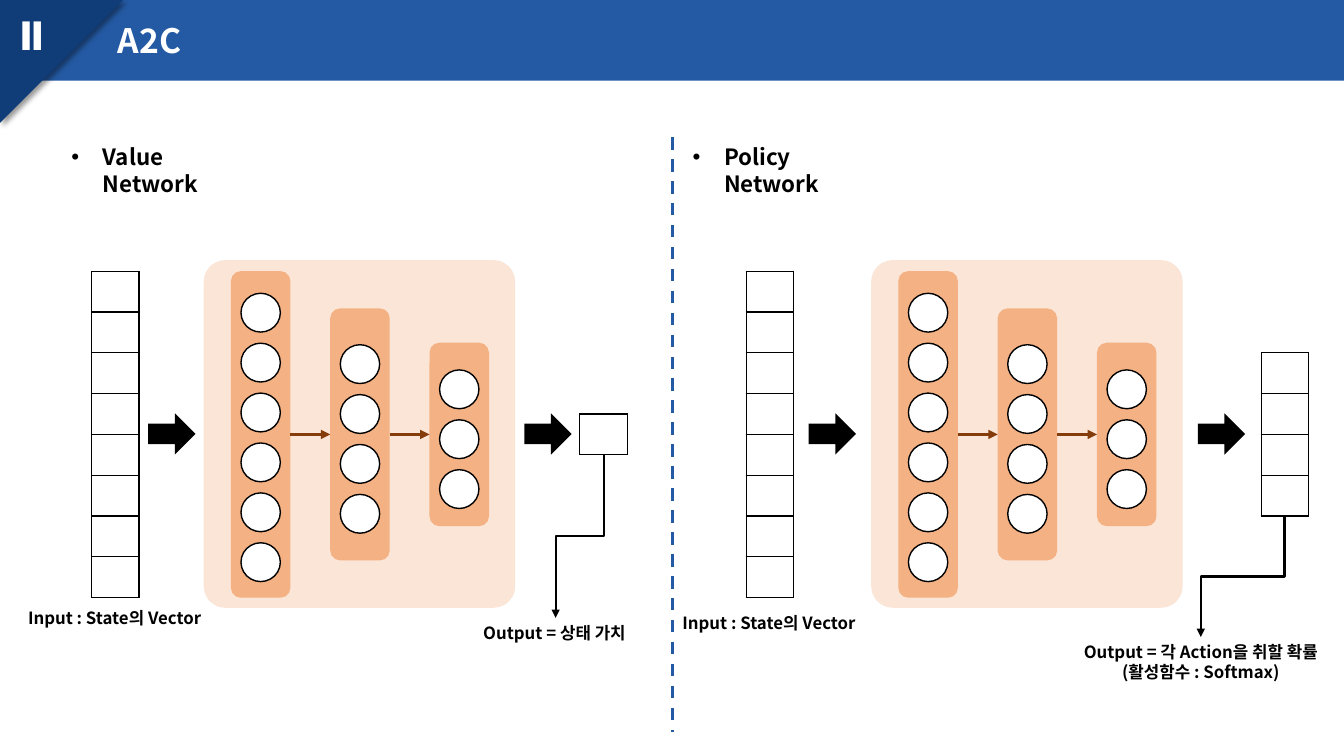
from lxml import etree
from pptx import Presentation
from pptx import util as u
from pptx.dml.color import RGBColor
from pptx.enum import dml, shapes, text
from pptx.oxml import parse_xml
from pptx.oxml.ns import nsdecls, qn

BLUE = RGBColor(0x24, 0x5A, 0xA4)
NAVY = RGBColor(0x10, 0x3D, 0x78)
PEACH = RGBColor(0xFB, 0xE5, 0xD6)
ORANGE = RGBColor(0xF4, 0xB1, 0x83)
BROWN = RGBColor(0x84, 0x3C, 0x0B)
BLACK = RGBColor(0, 0, 0)
WHITE = RGBColor(0xFF, 0xFF, 0xFF)
SANS = "Noto Sans CJK KR"
LEFT, CENTER = text.PP_ALIGN.LEFT, text.PP_ALIGN.CENTER
RECT, ROUND = shapes.MSO_SHAPE.RECTANGLE, shapes.MSO_SHAPE.ROUNDED_RECTANGLE
OVAL, ARROW = shapes.MSO_SHAPE.OVAL, shapes.MSO_SHAPE.RIGHT_ARROW

# Grid of 1333 columns by 750 rows
COLS, ROWS = 1333, 750
prs = Presentation()
prs.slide_width, prs.slide_height = u.Inches(13.33), u.Inches(7.5)
CELL = prs.slide_width / COLS
s = prs.slides.add_slide(prs.slide_layouts[6])

MID = 431            # row of the centre line of both networks
BOX_W, BOX_H = 47, 40.5
BAR_W, BAR_STEP = 59, 98.5
NODE_W, NODE_H, NODE_STEP = 39, 38.5, 49.5


def add(parent, kind, at, fill, line=None):
    """Add a preset shape at (column, row, width, height) of the grid."""
    sp = parent.add_shape(kind, *[round(v * CELL) for v in at])
    sp.shadow.inherit = False
    sp.fill.solid()
    sp.fill.fore_color.rgb = fill
    if line is None:
        sp.line.fill.background()
    else:
        sp.line.color.rgb = line
        sp.line.width = u.Pt(1)
    return sp


def label(at, words, size, color=BLACK, align=LEFT, wrap=False, font=SANS):
    """Add bold text at (column, row, width, height) of the grid."""
    tf = s.shapes.add_textbox(*[round(v * CELL) for v in at]).text_frame
    tf.word_wrap = wrap
    tf.text = words
    for p in tf.paragraphs:
        p.alignment = align
        for r in p.runs:
            r.font.size, r.font.bold, r.font.name = u.Pt(size), True, font
            r.font.color.rgb = color
            etree.SubElement(r.font._element, qn("a:ea")).set("typeface", font)
    return tf


# Header band and folded corner
add(s.shapes, RECT, (0, 0, COLS, 80), BLUE)
pen = s.shapes.build_freeform(0, 0, scale=CELL)
pen.add_line_segments([(122, 0), (0, 122)], close=True)
corner = pen.convert_to_shape()
corner.fill.solid()
corner.fill.fore_color.rgb = NAVY
corner.line.fill.background()
corner._element.spPr.append(parse_xml(
    f'<a:effectLst {nsdecls("a")}><a:outerShdw blurRad="50800" dist="38100" dir="2700000">'
    '<a:srgbClr val="000000"><a:alpha val="40000"/></a:srgbClr>'
    '</a:outerShdw></a:effectLst>'))
numeral = label((3, 6, 57, 57), "Ⅱ", 28, WHITE, CENTER, font="Arial")
numeral.paragraphs[0].runs[0].font._element.set("spc", "-150")
label((107, 15, 85, 50), "A2C", 24, WHITE)

# Bulleted headings
for col, heading in ((61, "Value Network"), (677, "Policy Network")):
    tf = label((col, 137, 209, 37), heading, 16, wrap=True)
    pPr = tf.paragraphs[0]._p.get_or_add_pPr()
    pPr.set("marL", "285750")
    pPr.set("indent", "-285750")
    pPr.append(parse_xml(f'<a:buFont {nsdecls("a")} typeface="Arial"/>'))
    pPr.append(parse_xml(f'<a:buChar {nsdecls("a")} char="•"/>'))

# Input and output vectors: column, number of boxes
for col, count in ((91, 8), (740, 8), (575, 1), (1251, 4)):
    at = (col, MID - count * BOX_H / 2, BOX_W, count * BOX_H)
    table = s.shapes.add_table(count, 1, *[round(v * CELL) for v in at]).table
    table.first_row = table.horz_banding = False
    for row in table.rows:
        row.height = round(BOX_H * CELL)
        cell = row.cells[0]
        cell.margin_top = cell.margin_bottom = 0
        tcPr = cell._tc.get_or_add_tcPr()
        for side in ("lnL", "lnR", "lnT", "lnB"):
            tcPr.append(parse_xml(
                f'<a:{side} {nsdecls("a")} w="12700"><a:solidFill>'
                f'<a:srgbClr val="{BLACK}"/></a:solidFill></a:{side}>'))
        cell.fill.background()

# Lines: start, end, colour, width, kind
lines = [((667, 136), (667, 726), BLUE, 2.25, "dash"),
         ((1274, 512), (1191, 632), BLACK, 1.5, "elbow"),
         ((599, 451), (551, 613), BLACK, 1.5, "elbow")]

# Networks: layers are number of nodes, bar height, row of the first node
layers = ((6, 324, 291), (4, 250, 342), (3, 182, 367))
for net_col in (202, 864):
    net = s.shapes.add_group_shape().shapes
    panel = add(net, ROUND, (net_col, MID - 173, 309, 345), PEACH)
    panel.adjustments[0] = 0.07
    for i, (count, height, first) in enumerate(layers):
        col = net_col + 27 + i * BAR_STEP
        add(net, ROUND, (col, MID - height / 2, BAR_W, height), ORANGE)
        for n in range(count):
            add(net, OVAL, (col + 10, first + n * NODE_STEP, NODE_W, NODE_H), WHITE, BLACK)
        if i:
            lines.append(((col - BAR_STEP + BAR_W, MID), (col, MID), BROWN, 2.25, "arrow"))

# Block arrows
for col in (147, 520, 802, 1188):
    add(s.shapes, ARROW, (col, MID - 21, 47, 41), BLACK)

# Captions
label((18, 598, 193, 30), "Input : State의 Vector", 12, wrap=True)
label((667, 603, 193, 30), "Input : State의 Vector", 12, wrap=True)
label((463, 613, 174, 30), "Output = 상태 가치", 12, align=CENTER)
label((1055, 632, 272, 50), "Output = 각 Action을 취할 확률\n(활성함수 : Softmax)", 12, align=CENTER)

# Divider, layer arrows and output leaders
for (x1, y1), (x2, y2), color, width, kind in lines:
    shape_type = shapes.MSO_CONNECTOR.STRAIGHT
    if kind == "elbow":
        # A quarter turn makes the elbow leave downwards
        shape_type = shapes.MSO_CONNECTOR.ELBOW
        cx, cy, dx, dy = (x1 + x2) / 2, (y1 + y2) / 2, (x1 - x2) / 2, (y2 - y1) / 2
        x1, y1, x2, y2 = cx - dy, cy - dx, cx + dy, cy + dx
    line = s.shapes.add_connector(shape_type, *[round(v * CELL) for v in (x1, y1, x2, y2)])
    line.line.color.rgb = color
    line.line.width = u.Pt(width)
    spPr = line._element.spPr
    if kind == "elbow":
        spPr.find(qn("a:xfrm")).set("rot", "5400000")
    if kind == "dash":
        line.line.dash_style = dml.MSO_LINE.DASH
    else:
        etree.SubElement(spPr.find(qn("a:ln")), qn("a:tailEnd")).set("type", "triangle")
    etree.SubElement(spPr, qn("a:effectLst"))

prs.save("out.pptx")
